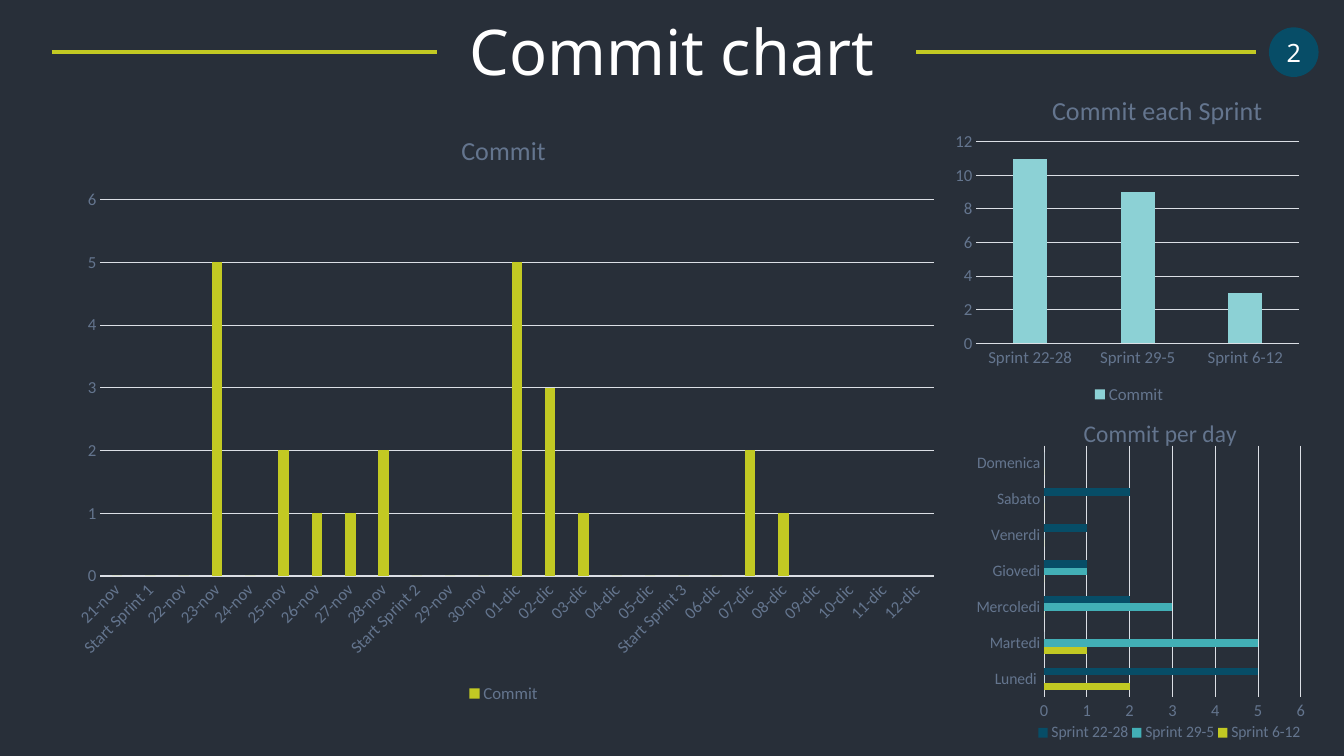
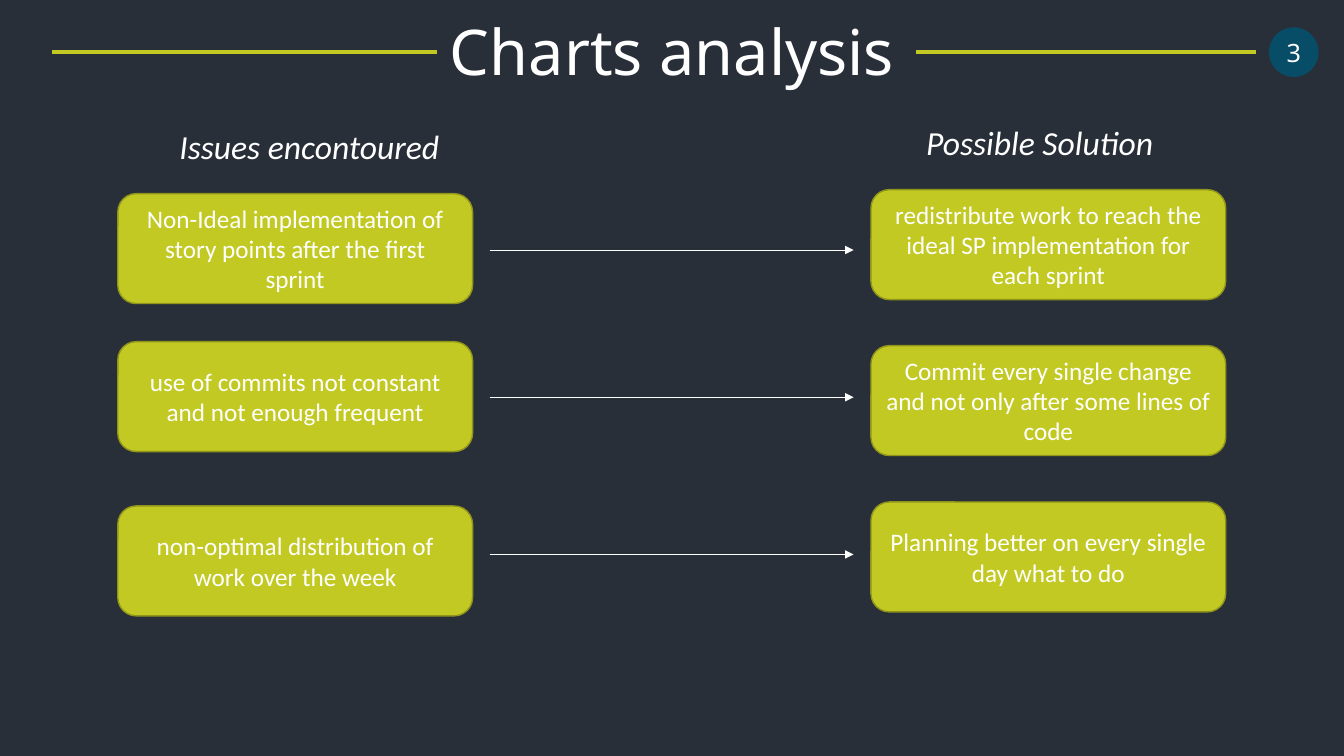
from lxml import etree
from pptx import Presentation
from pptx.chart.data import CategoryChartData
from pptx.dml.color import RGBColor
from pptx.enum.chart import XL_CHART_TYPE, XL_LEGEND_POSITION, XL_TICK_MARK
from pptx.enum.shapes import MSO_CONNECTOR, MSO_SHAPE
from pptx.enum.text import MSO_ANCHOR, PP_ALIGN
from pptx.oxml.ns import qn
from pptx.util import Cm, Pt

DARK = RGBColor(0x28, 0x2F, 0x39)
LIME = RGBColor(0xC2, 0xC9, 0x23)
OLIVE = RGBColor(0x90, 0x95, 0x1A)
NAVY = RGBColor(0x07, 0x4D, 0x67)
TEAL = RGBColor(0x42, 0xAF, 0xB6)
AQUA = RGBColor(0x8C, 0xD1, 0xD5)
SLATE = RGBColor(0x64, 0x75, 0x8E)
PALE = RGBColor(0xDB, 0xDF, 0xE5)
WHITE = RGBColor(0xFF, 0xFF, 0xFF)

HEAD, BODY = "Noto Sans", "Calibri"
COLUMN, BAR = XL_CHART_TYPE.COLUMN_CLUSTERED, XL_CHART_TYPE.BAR_CLUSTERED
BOTTOM, NO_TICK = XL_LEGEND_POSITION.BOTTOM, XL_TICK_MARK.NONE
OVAL, ROUND = MSO_SHAPE.OVAL, MSO_SHAPE.ROUNDED_RECTANGLE
STRAIGHT = MSO_CONNECTOR.STRAIGHT
MIDDLE = MSO_ANCHOR.MIDDLE
LEFT, CENTER = PP_ALIGN.LEFT, PP_ALIGN.CENTER

DAYS = ["Lunedi ", "Martedi", "Mercoledi", "Giovedi", "Venerdi", "Sabato", "Domenica"]
WEEKS = ["Sprint 22-28", "Sprint 29-5", "Sprint 6-12"]
DATES = [
    "21-nov", "Start Sprint 1", "22-nov", "23-nov", "24-nov",
    "25-nov", "26-nov", "27-nov", "28-nov", "Start Sprint 2",
    "29-nov", "30-nov", "01-dic", "02-dic", "03-dic",
    "04-dic", "05-dic", "Start Sprint 3", "06-dic", "07-dic",
    "08-dic", "09-dic", "10-dic", "11-dic", "12-dic",
]
COUNTS = [0, 0, 0, 5, 0, 2, 1, 1, 2, 0, 0, 0, 5, 3, 1, 0, 0, 0, 0, 2, 1] + [None] * 4

ISSUES = [
    (4.88, "Non-Ideal implementation of story points after the first sprint"),
    (8.61, "use of commits not constant and not enough frequent"),
    (12.75, "non-optimal distribution of work over the week"),
]
FIXES = [
    (4.78, "redistribute work to reach the ideal SP implementation for each sprint"),
    (8.71, "Commit every single change and not only after some lines of code"),
    (12.65, "Planning better on every single day what to do"),
]


def lengths(box):
    """Turn a box in centimetres into lengths."""
    return [Cm(n) for n in box]


def style(font, size, color, face=BODY):
    """Set the size, colour and face of a font."""
    font.size, font.name = Pt(size), face
    font.color.rgb = color


def write(shape, text, size, face=BODY, align=CENTER, slant=False):
    """Add one white run to a shape."""
    para = shape.text_frame.paragraphs[0]
    para.alignment = align
    run = para.add_run()
    run.text = text
    style(run.font, size, WHITE, face)
    if slant:
        run.font.italic = True


def add_label(slide, box, text, size, **look):
    """Place a text box that wraps."""
    label = slide.shapes.add_textbox(*lengths(box))
    label.text_frame.word_wrap = True
    write(label, text, size, **look)


def add_form(slide, kind, box, fill, edge=None):
    """Place a filled shape with centred text."""
    form = slide.shapes.add_shape(kind, *lengths(box))
    form.shadow.inherit = False
    form.fill.solid()
    form.fill.fore_color.rgb = fill
    if edge is None:
        form.line.fill.background()
    else:
        form.line.color.rgb = edge
        form.line.width = Pt(1)
    form.text_frame.vertical_anchor = MIDDLE
    return form


def add_line(slide, left, right, top, color, width, arrow=False):
    """Draw a level line, with an arrowhead if asked."""
    line = slide.shapes.add_connector(STRAIGHT, *lengths((left, top, right, top)))
    line.line.color.rgb = color
    line.line.width = Pt(width)
    if arrow:
        etree.SubElement(line.line._get_or_add_ln(), qn("a:tailEnd"), type="triangle")
    etree.SubElement(line._element.spPr, qn("a:effectLst"))


def add_frame(slide, title, number):
    """Place the title, the two rules and the page badge."""
    for left, right in ((1.3, 11.02), (23.09, 31.65)):
        add_line(slide, left, right, 1.3, LIME, 2.75)
    add_label(slide, (5.38, 0.2, 23.11, 2.18), title, 45, face=HEAD)
    badge = add_form(slide, OVAL, (31.98, 0.69, 1.25, 1.25), NAVY)
    badge.text_frame.word_wrap = False
    write(badge, str(number), 18, HEAD)


def set_layout(node, index, spots, inner=False):
    """Give a chart part a fixed place, in shares of the chart."""
    for old in node.findall(qn("c:layout")):
        node.remove(old)
    layout = etree.Element(qn("c:layout"))
    manual = etree.SubElement(layout, qn("c:manualLayout"))
    if inner:
        etree.SubElement(manual, qn("c:layoutTarget"), val="inner")
    for axis in "xy":
        etree.SubElement(manual, qn(f"c:{axis}Mode"), val="edge")
    for key, spot in zip("xywh", spots):
        etree.SubElement(manual, qn(f"c:{key}"), val=str(spot))
    node.insert(index, layout)


def add_graph(slide, box, kind, title, cats, series, top, step, area,
              gap=219, lap=-27, size=18.6, spot=None, small=12, key=None, turn=None):
    """Place a bar or column chart in a box."""
    data = CategoryChartData()
    data.categories = cats
    for name, values, _ in series:
        data.add_series(name, values)
    chart = slide.shapes.add_chart(kind, *lengths(box), data).chart
    style(chart.font, 10, SLATE)

    chart.has_title = True
    run = chart.chart_title.text_frame.paragraphs[0].add_run()
    run.text = title
    style(run.font, size, SLATE)
    run.font.bold = False
    if spot:
        set_layout(chart.chart_title._element, 1, spot)

    chart.has_legend = True
    chart.legend.position = BOTTOM
    chart.legend.include_in_layout = False
    style(chart.legend.font, small, SLATE)
    if key:
        set_layout(chart.legend._element, 1, key)

    cat, val = chart.category_axis, chart.value_axis
    for axis, points in ((cat, small), (val, 12)):
        axis.major_tick_mark = axis.minor_tick_mark = NO_TICK
        style(axis.tick_labels.font, points, SLATE)
    val.minimum_scale, val.maximum_scale, val.major_unit = 0, top, step
    val.format.line.fill.background()
    for line in (cat.format.line, val.major_gridlines.format.line):
        line.color.rgb = PALE
        line.width = Pt(0.75)
    if turn:
        labels = cat._element.find(qn("c:txPr"))
        labels.find(qn("a:bodyPr")).set("rot", str(turn * 60000))

    plot = chart.plots[0]
    plot.gap_width, plot.overlap, plot.vary_by_categories = gap, lap, False
    for item, (_, _, color) in zip(plot.series, series):
        item.format.fill.solid()
        item.format.fill.fore_color.rgb = color
    set_layout(chart._chartSpace.find(".//" + qn("c:plotArea")), 0, area, True)


def add_column(slide, left, head, top, title, notes):
    """Place a heading and the boxes below it."""
    add_label(slide, (head, top, 7.39, 1.27), title, 24, align=LEFT, slant=True)
    for high, text in notes:
        note = add_form(slide, ROUND, (left, high, 8.94, 2.77), LIME, OLIVE)
        note.text_frame.word_wrap = True
        write(note, text, 18)


def fill_charts(slide):
    """Build the slide of commit charts."""
    add_graph(slide, (23.98, 1.68, 8.94, 8.61), COLUMN, "Commit each Sprint",
              WEEKS, [("Commit", [11, 9, 3], AQUA)], 12, 2,
              (0.07, 0.22, 0.91, 0.59), spot=(0.27, 0.06))
    days = [
        (WEEKS[2], [2, 1, 0, 0, 0, 0, 0], LIME),
        (WEEKS[1], [0, 5, 3, 1, 0, 0, 0], TEAL),
        (WEEKS[0], [5, 0, 2, 1, 1, 2, 0], NAVY),
    ]
    add_graph(slide, (24.61, 10.29, 8.28, 8.56), BAR, "Commit per day",
              DAYS, days, 6, 1, (0.19, 0.11, 0.8, 0.74), gap=182, lap=0,
              size=17.1, spot=(0.3, 0.01), small=11.4,
              key=(0.16, 0.92, 0.84, 0.07))
    add_graph(slide, (1.4, 2.77, 22.58, 15.06), COLUMN, "Commit",
              DATES, [("Commit", COUNTS, LIME)], 6, 1,
              (0.05, 0.15, 0.93, 0.63), turn=-45)


def fill_review(slide):
    """Build the slide of issues and solutions."""
    add_column(slide, 2.97, 4.27, 3.05, "Issues encontoured", ISSUES)
    add_column(slide, 21.95, 23.09, 2.95, "Possible Solution", FIXES)
    for top in (6.3, 10.01, 13.97):
        add_line(slide, 12.34, 21.51, top, WHITE, 0.5, arrow=True)


def main():
    """Build and save the deck."""
    deck = Presentation()
    deck.slide_width, deck.slide_height = Cm(33.87), Cm(19.05)
    back = deck.slide_master.background.fill
    back.solid()
    back.fore_color.rgb = DARK
    pages = [("Commit chart", fill_charts), ("Charts analysis", fill_review)]
    for number, (title, build) in enumerate(pages, 2):
        slide = deck.slides.add_slide(deck.slide_layouts[6])
        build(slide)
        add_frame(slide, title, number)
    deck.save("out.pptx")


if __name__ == "__main__":
    main()
